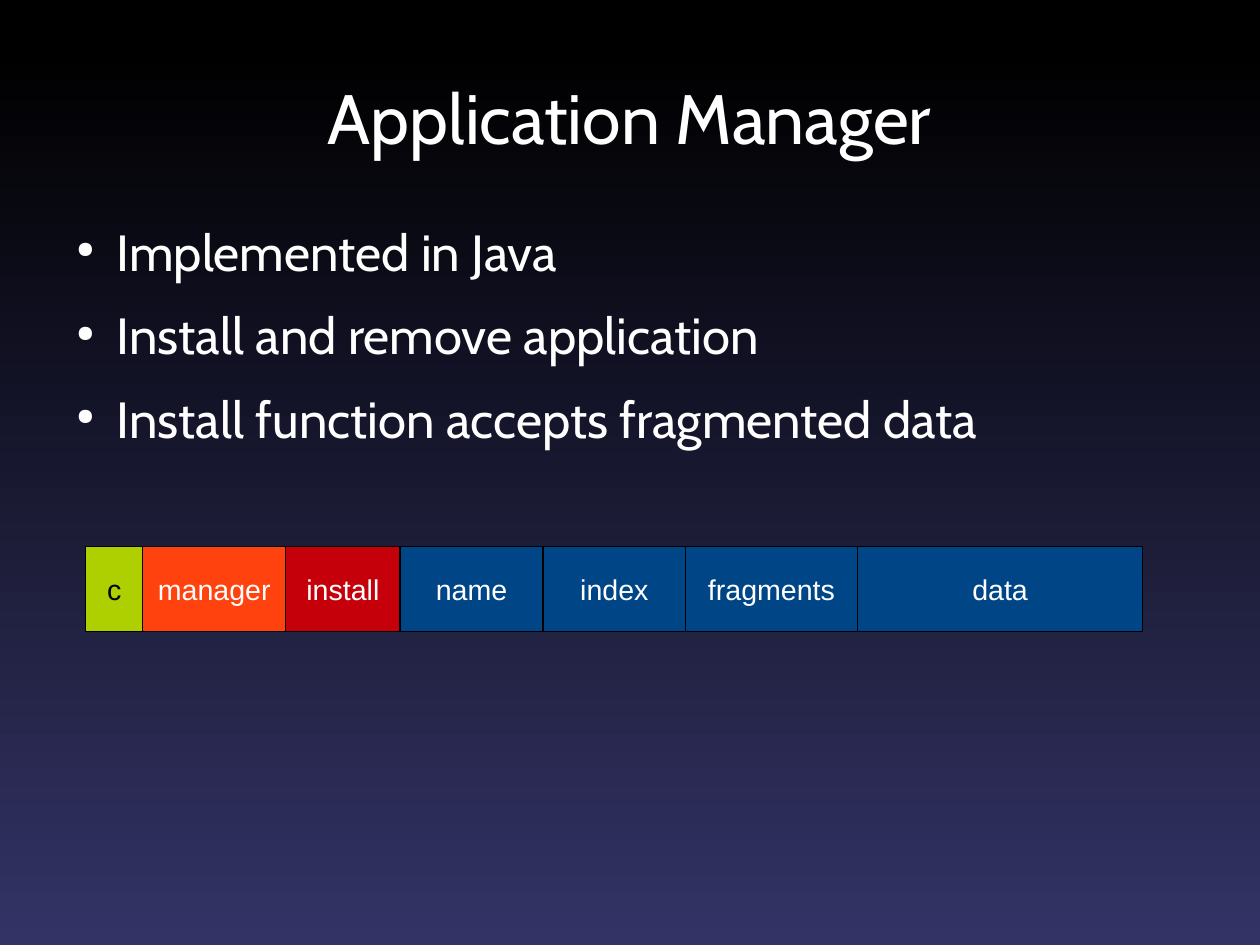
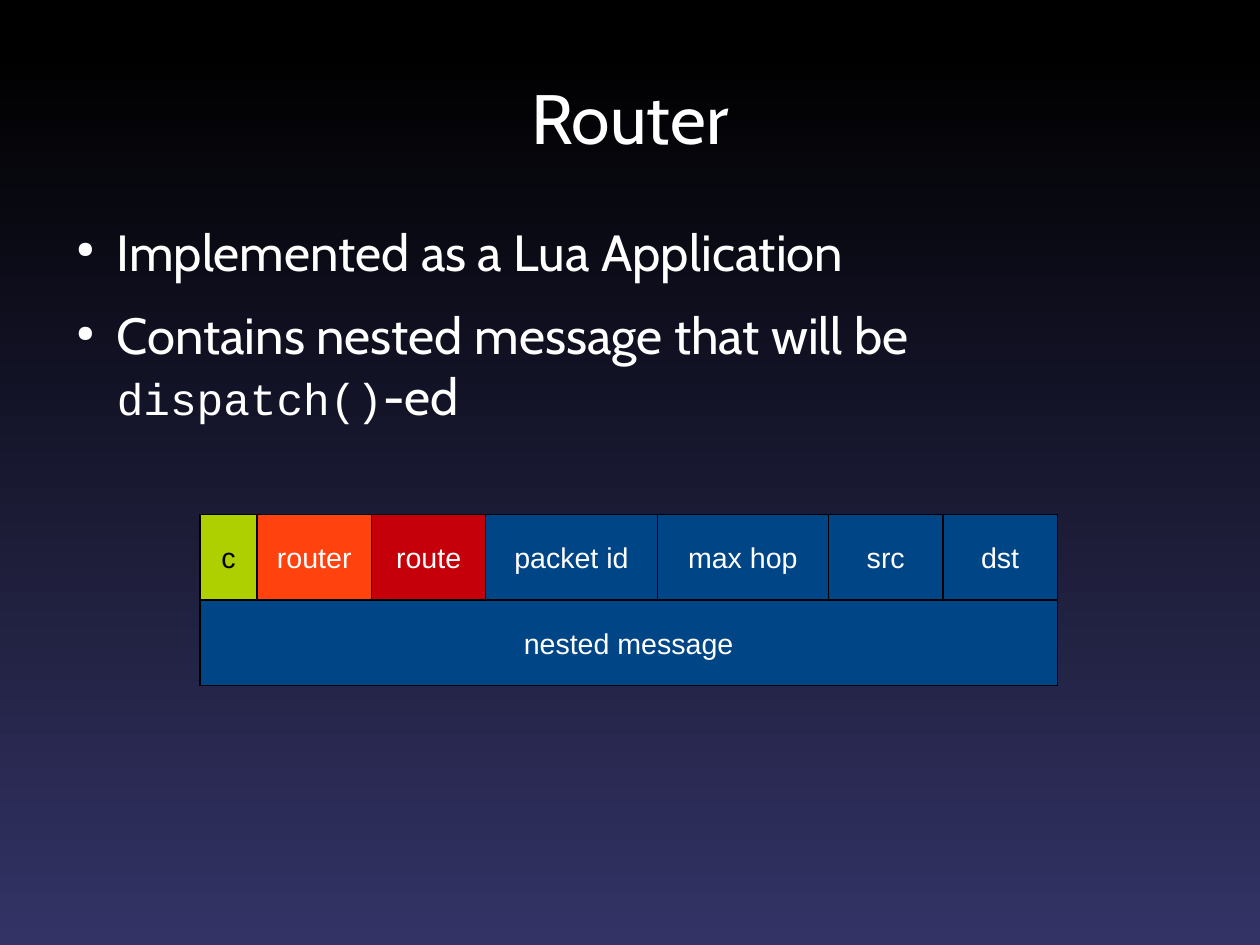
import pptx
import pptx.util
import pptx.dml.color
import pptx.enum.shapes
import pptx.enum.text
import pptx.oxml.ns
from lxml import etree

Pt = pptx.util.Pt
ALIGN = pptx.enum.text.PP_ALIGN
ANCHOR = pptx.enum.text.MSO_ANCHOR

WHITE, BLACK = "FFFFFF", "000000"
GREEN, ORANGE, RED, BLUE = "AECF00", "FF420E", "C5000B", "004586"
GRADIENT = [(0.05, BLACK), (1.0, "333366")]
SLIDE_SIZE = (793.7, 595.3)
TITLE_BOX = (39.6, 27.4, 714.3, 92.2)
BODY_BOX = (39.6, 139, 714.3, 386)
TITLE_FONT = ("Cabin", 44)
BODY_FONT = ("Cabin", 32)
CODE_FONT = ("Courier New", 28)
FIELD_FONT = ("Arial", 18)
INDENT, HANGING, BULLET_GAP = 34, 25.5, 14.2
UNIT, ROW_HEIGHT = 18, 54

SLIDES = [
    {
        "title": "Application Manager",
        "bullets": [
            [("Implemented in Java", BODY_FONT)],
            [("Install and remove application", BODY_FONT)],
            [("Install function accepts fragmented data", BODY_FONT)],
        ],
        "packet_at": (54, 344),
        "packet": [
            [("c", 2, GREEN), ("manager", 5, ORANGE), ("install", 4, RED),
             ("name", 5, BLUE), ("index", 5, BLUE), ("fragments", 6, BLUE),
             ("data", 10, BLUE)],
        ],
    },
    {
        "title": "Router",
        "bullets": [
            [("Implemented as a Lua Application", BODY_FONT)],
            [("Contains nested message that will be ", BODY_FONT),
             ("dispatch()", CODE_FONT), ("-ed", BODY_FONT)],
        ],
        "packet_at": (126, 324),
        "packet": [
            [("c", 2, GREEN), ("router", 4, ORANGE), ("route", 4, RED),
             ("packet id", 6, BLUE), ("max hop", 6, BLUE), ("src", 4, BLUE),
             ("dst", 4, BLUE)],
            [("nested message", 30, BLUE)],
        ],
    },
]


def rgb(value):
    """Turn a hex string into a colour."""
    return pptx.dml.color.RGBColor.from_string(value)


def style(r, font, color=WHITE):
    """Set the font, size and colour of a run."""
    r.font.name, size = font
    r.font.size = Pt(size)
    r.font.color.rgb = rgb(color)


def set_background(master):
    """Give every slide the vertical gradient."""
    fill = master.background.fill
    fill.gradient()
    fill.gradient_angle = 270
    for stop, (position, color) in zip(fill.gradient_stops, GRADIENT):
        stop.position = position
        stop.color.rgb = rgb(color)


def add_text(s, box, paragraphs):
    """Add a text box without margins and return its text frame."""
    tf = s.shapes.add_textbox(*map(Pt, box)).text_frame
    tf.word_wrap = True
    tf.margin_left = tf.margin_top = tf.margin_right = tf.margin_bottom = 0
    for i, runs in enumerate(paragraphs):
        p = tf.add_paragraph() if i else tf.paragraphs[0]
        for text, font in runs:
            r = p.add_run()
            r.text = text
            style(r, font)
    return tf


def add_bullet(p):
    """Make a paragraph a hanging bullet item."""
    qn = pptx.oxml.ns.qn
    p.space_after = Pt(BULLET_GAP)
    pPr = p._p.get_or_add_pPr()
    pPr.set("marL", str(Pt(INDENT)))
    pPr.set("indent", str(-Pt(HANGING)))
    color = etree.SubElement(pPr, qn("a:buClr"))
    etree.SubElement(color, qn("a:srgbClr"), val=WHITE)
    etree.SubElement(pPr, qn("a:buSzPct"), val="45000")
    etree.SubElement(pPr, qn("a:buChar"), char="●")


def add_field(group, box, label, color):
    """Add one labelled field of a packet."""
    field = group.shapes.add_shape(
        pptx.enum.shapes.MSO_SHAPE.RECTANGLE, *map(Pt, box))
    field.shadow.inherit = False
    field.fill.solid()
    field.fill.fore_color.rgb = rgb(color)
    field.line.color.rgb = rgb(BLACK)
    field.line.width = Pt(0)
    tf = field.text_frame
    tf.text = label
    tf.vertical_anchor = ANCHOR.MIDDLE
    p = tf.paragraphs[0]
    p.alignment = ALIGN.CENTER
    style(p.runs[0], FIELD_FONT, BLACK if color == GREEN else WHITE)


def add_packet(s, at, rows):
    """Lay out the rows of packet fields side by side in a group."""
    group = s.shapes.add_group_shape()
    left, top = at
    for i, row in enumerate(rows):
        x = left
        for label, units, color in row:
            width = units * UNIT
            add_field(group, (x, top + i * ROW_HEIGHT, width, ROW_HEIGHT),
                      label, color)
            x += width


def add_slide(prs, content):
    """Build one slide with title, bullets and packet diagram."""
    s = prs.slides.add_slide(prs.slide_layouts[6])
    tf = add_text(s, TITLE_BOX, [[(content["title"], TITLE_FONT)]])
    tf.vertical_anchor = ANCHOR.MIDDLE
    tf.paragraphs[0].alignment = ALIGN.CENTER
    for p in add_text(s, BODY_BOX, content["bullets"]).paragraphs:
        add_bullet(p)
    add_packet(s, content["packet_at"], content["packet"])


def main():
    """Build and save the presentation."""
    prs = pptx.Presentation()
    prs.slide_width, prs.slide_height = map(Pt, SLIDE_SIZE)
    set_background(prs.slide_master)
    for content in SLIDES:
        add_slide(prs, content)
    prs.save("out.pptx")


if __name__ == "__main__":
    main()
